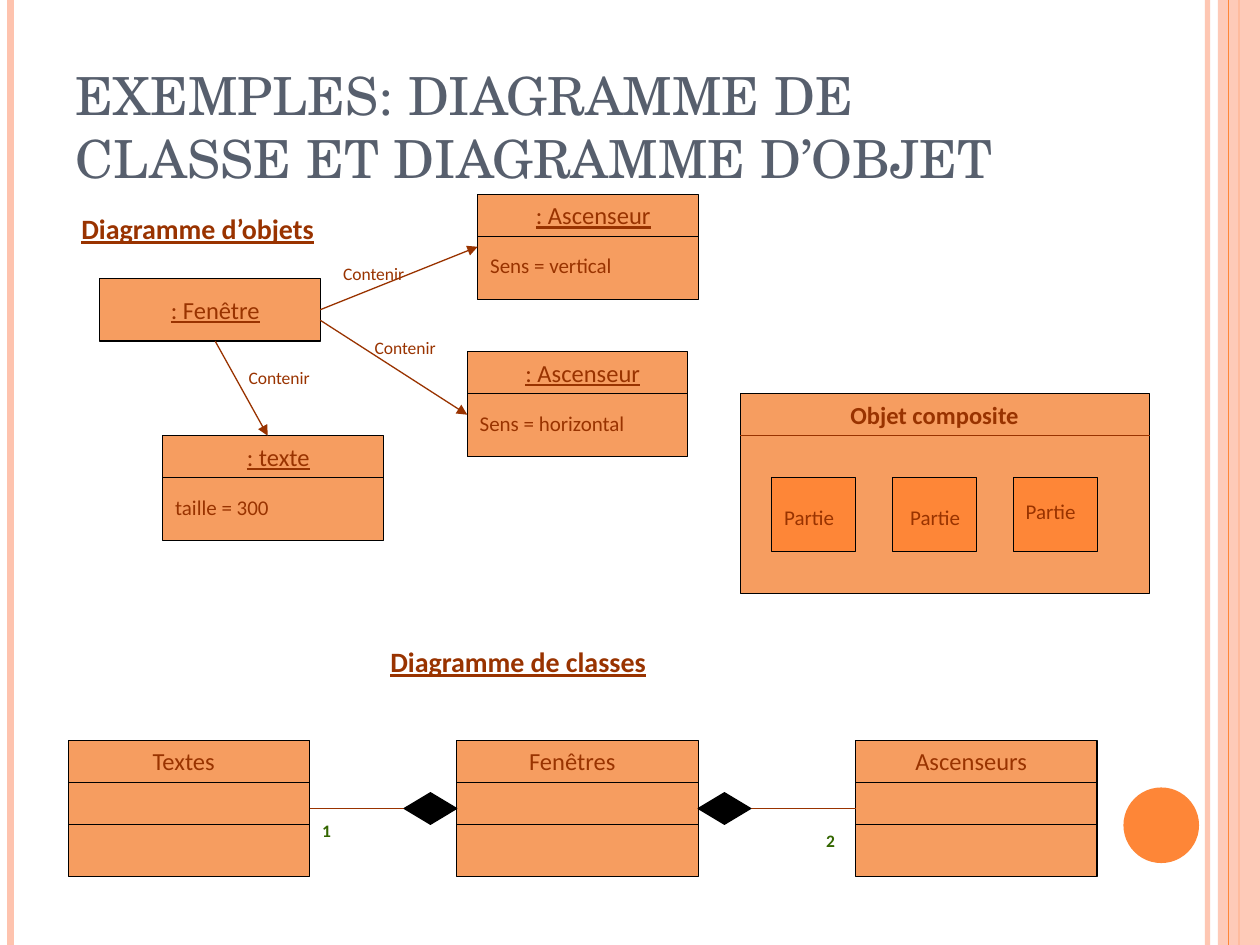
"""Build a slide with UML object and class diagram examples."""
from dataclasses import dataclass

from pptx import Presentation
from pptx.dml.color import RGBColor
from pptx.enum.shapes import MSO_CONNECTOR, MSO_SHAPE
from pptx.enum.text import MSO_ANCHOR, MSO_AUTO_SIZE, PP_ALIGN
from pptx.oxml.ns import qn
from pptx.util import Pt

STRAIGHT = MSO_CONNECTOR.STRAIGHT
RECTANGLE, ELLIPSE, DIAMOND = MSO_SHAPE.RECTANGLE, MSO_SHAPE.OVAL, MSO_SHAPE.DIAMOND
LEFT, CENTER = PP_ALIGN.LEFT, PP_ALIGN.CENTER
TOP, BOTTOM = MSO_ANCHOR.TOP, MSO_ANCHOR.BOTTOM
NO_AUTOFIT = MSO_AUTO_SIZE.NONE

COLORS = {
    "box": "F69D60", "accent": "FE8637", "pale": "FEC3AE", "black": "000000",
    "brown": "993300", "green": "336600", "title": "575F6D",
}
BODY_FONT, TITLE_FONT = "Calibri", "TeX Gyre Schola"
THIN = 0.74
HEADER = 24
OBJECT_WIDTH, OBJECT_HEIGHT = 126, 60
CLASS_TOP, CLASS_WIDTH, CLASS_HEIGHT = 423, 138, 78


@dataclass
class Stripe:
    x: float
    width: float
    color: str
    opacity: int = 100


@dataclass
class ObjectBox:
    x: float
    y: float
    name: str
    attribute: str


@dataclass
class Arrow:
    start: tuple[float, float]
    end: tuple[float, float]
    label_at: tuple[float, float]


@dataclass
class Part:
    x: float
    label_x: float
    label_y: float


@dataclass
class Label:
    x: float
    y: float
    width: float
    text: str
    size: float
    color: str = "brown"
    bold: bool = False
    underline: bool = False
    align: PP_ALIGN = LEFT
    wrap: bool = True


def rgb(name: str) -> RGBColor:
    return RGBColor.from_string(COLORS[name])


def set_opacity(fill_parent, percent: int) -> None:
    color = fill_parent.find(qn("a:solidFill"))[0]
    alpha = color.makeelement(qn("a:alpha"), {"val": str(percent * 1000)})
    color.append(alpha)


def add_box(page, x: float, y: float, width: float, height: float,
            fill: str = "box", line: str | None = "black", kind=RECTANGLE):
    box = page.shapes.add_shape(kind, Pt(x), Pt(y), Pt(width), Pt(height))
    box.shadow.inherit = False
    box.fill.solid()
    box.fill.fore_color.rgb = rgb(fill)
    if line:
        box.line.color.rgb = rgb(line)
        box.line.width = Pt(THIN)
    else:
        box.line.fill.background()
    return box


def add_line(page, start: tuple[float, float], end: tuple[float, float],
             color: str = "black", width: float = THIN,
             arrow: bool = False, opacity: int = 100) -> None:
    line = page.shapes.add_connector(
        STRAIGHT, Pt(start[0]), Pt(start[1]), Pt(end[0]), Pt(end[1]))
    line.line.color.rgb = rgb(color)
    line.line.width = Pt(width)
    properties = line._element.spPr
    outline = properties.find(qn("a:ln"))
    if opacity < 100:
        set_opacity(outline, opacity)
    if arrow:
        outline.append(outline.makeelement(qn("a:tailEnd"), {"type": "triangle"}))
    properties.append(properties.makeelement(qn("a:effectLst"), {}))


def add_span(para, text: str, font: str, size: float, color: str):
    span = para.add_run()
    span.text = text
    span.font.name = font
    span.font.size = Pt(size)
    span.font.color.rgb = rgb(color)
    return span


def add_label(page, label: Label) -> None:
    height = label.size * 1.22 + 7.2
    box = page.shapes.add_textbox(Pt(label.x), Pt(label.y), Pt(label.width), Pt(height))
    frame = box.text_frame
    frame.word_wrap = label.wrap
    frame.vertical_anchor = TOP
    para = frame.paragraphs[0]
    para.alignment = label.align
    span = add_span(para, label.text, BODY_FONT, label.size, label.color)
    span.font.bold = label.bold
    span.font.underline = label.underline


def add_object(page, item: ObjectBox) -> None:
    add_box(page, item.x, item.y, OBJECT_WIDTH, OBJECT_HEIGHT)
    divider = item.y + HEADER
    add_line(page, (item.x, divider), (item.x + OBJECT_WIDTH, divider))
    add_label(page, Label(item.x + 6, item.y, 120, item.name, 14,
                          underline=True, align=CENTER))
    add_label(page, Label(item.x, item.y + 30, OBJECT_WIDTH, item.attribute, 12))


def add_class(page, x: float, name: str) -> None:
    add_box(page, x, CLASS_TOP, CLASS_WIDTH, CLASS_HEIGHT)
    for row in (1, 2):
        y = CLASS_TOP + row * HEADER
        add_line(page, (x, y), (x + CLASS_WIDTH, y))
    add_label(page, Label(x + 18, CLASS_TOP, 96, name, 14, align=CENTER))


def add_composite(page, parts: list[Part]) -> None:
    add_box(page, 423, 225, 234, 114)
    add_line(page, (423, 249), (657, 249), "brown")
    add_label(page, Label(459, 225, 150, "Objet composite", 14, bold=True, align=CENTER))
    for part in parts:
        add_box(page, part.x, 273, 48, 42, "accent")
        add_label(page, Label(part.label_x, part.label_y, 60, "Partie", 12))


def add_title(page, text: str) -> None:
    title = page.shapes.title
    title.left, title.top, title.width, title.height = Pt(36), Pt(21.6), Pt(588), Pt(90)
    frame = title.text_frame
    frame.auto_size = NO_AUTOFIT
    frame.word_wrap = True
    frame.vertical_anchor = BOTTOM
    para = frame.paragraphs[0]
    para.alignment = LEFT
    add_span(para, text, TITLE_FONT, 30, "title")


deck = Presentation()
deck.slide_width, deck.slide_height = Pt(720), Pt(540)
page = deck.slides.add_slide(deck.slide_layouts[5])

for stripe in (Stripe(690, 3, "pale", 93), Stripe(6, 4.5, "pale"),
               Stripe(708, 1.5, "accent")):
    add_line(page, (stripe.x, 0), (stripe.x, 540), stripe.color, stripe.width,
             opacity=stripe.opacity)
band = add_box(page, 696, 0, 24, 540, "pale", None)
set_opacity(band._element.spPr, 87)
add_line(page, (702, 0), (702, 540), "accent")
add_box(page, 642, 450, 43.2, 43.2, "accent", None, ELLIPSE)
add_title(page, "EXEMPLES: DIAGRAMME DE CLASSE ET DIAGRAMME D’OBJET")

add_composite(page, [Part(441, 441, 285), Part(510, 513, 285), Part(579, 579, 281.5)])

add_box(page, 57, 159, OBJECT_WIDTH, 36)
add_label(page, Label(63, 165, 120, ": Fenêtre", 14, underline=True, align=CENTER))
for item in (ObjectBox(273, 111, ": Ascenseur", "Sens = vertical"),
             ObjectBox(93, 249, ": texte", "taille = 300"),
             ObjectBox(267, 201, ": Ascenseur", "Sens = horizontal")):
    add_object(page, item)
for arrow in (Arrow((183, 177), (273, 141), (189, 147)),
              Arrow((123, 195), (153, 249), (135, 206)),
              Arrow((183, 183), (267, 237), (207, 189))):
    add_line(page, arrow.start, arrow.end, "brown", arrow=True)
    add_label(page, Label(*arrow.label_at, 72, "Contenir", 10))

for x, name in ((39, "Textes"), (261, "Fenêtres"), (489, "Ascenseurs")):
    add_class(page, x, name)
for start, end, diamond_x in ((177, 261, 231), (399, 489, 399)):
    add_line(page, (start, 462), (end, 462), "brown")
    add_box(page, diamond_x, 453, 30, 18, "black", kind=DIAMOND)
for x, y, count in ((177, 465, "1"), (465, 471, "2")):
    add_label(page, Label(x, y, 30, count, 10, "green", bold=True))

for x, y, width, heading in ((39.5, 117.5, 175, "Diagramme d’objets"),
                             (216, 365, 192, "Diagramme de classes")):
    add_label(page, Label(x, y, width, heading, 16, bold=True, underline=True, wrap=False))

deck.save("out.pptx")
